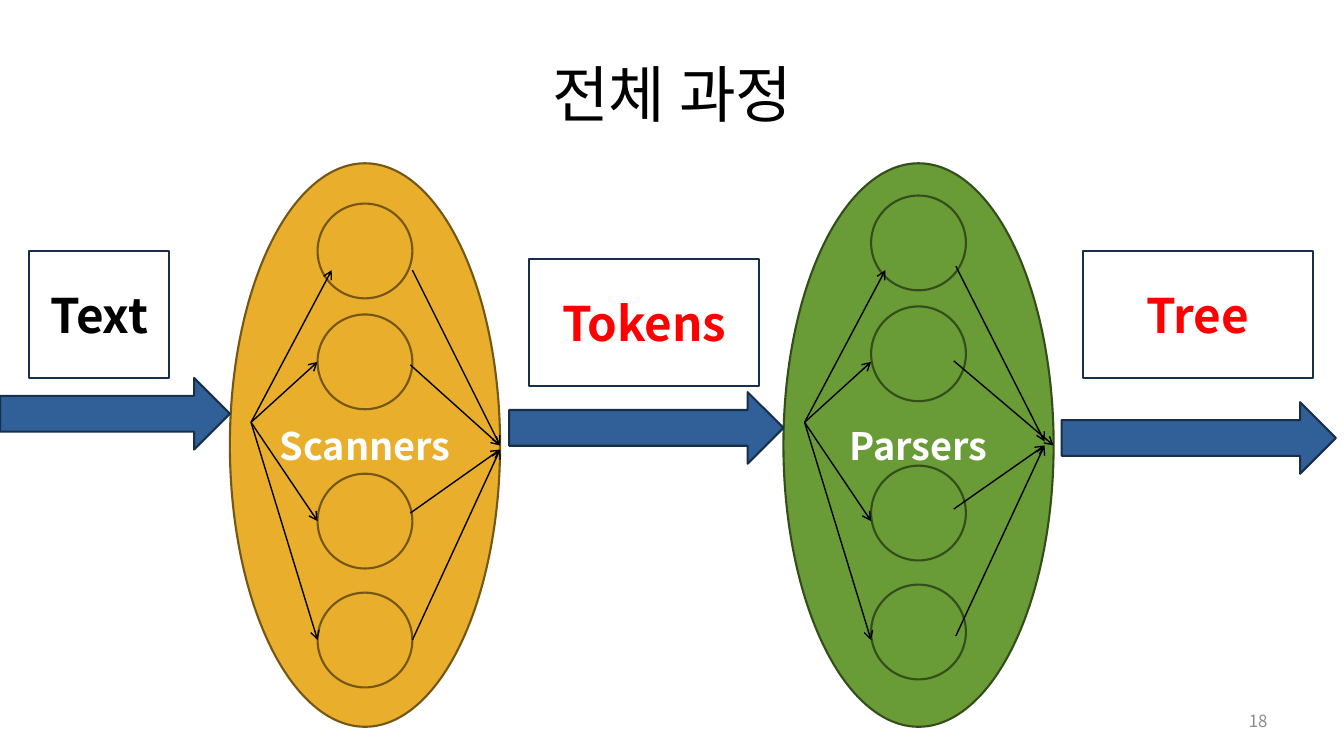
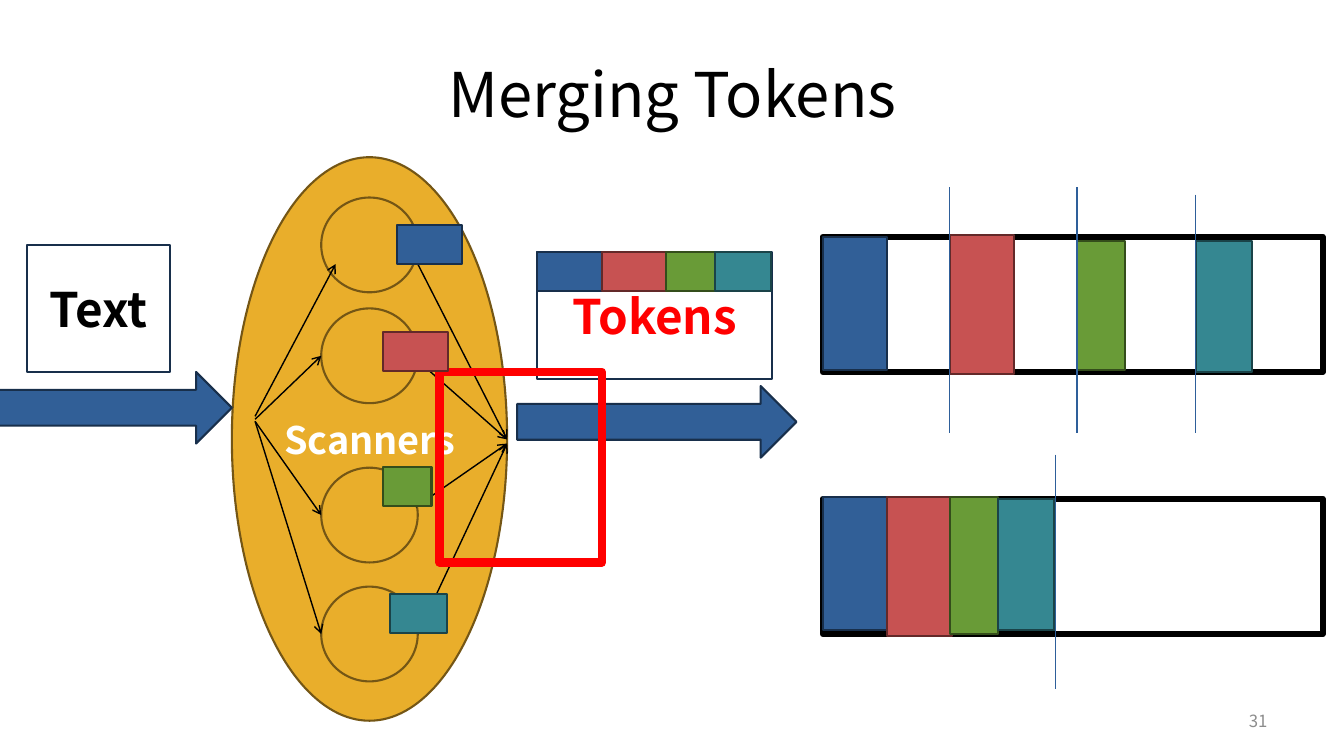
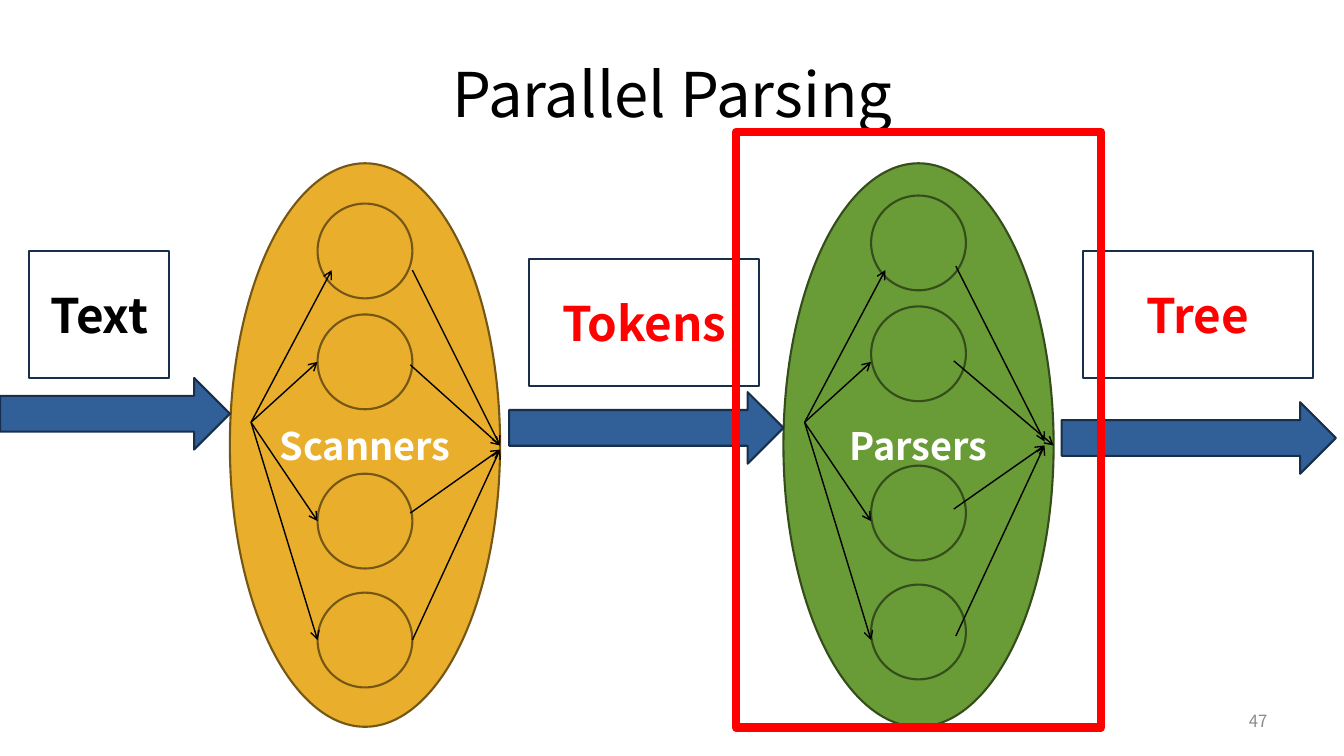
from dataclasses import dataclass
from itertools import accumulate
from typing import NamedTuple

from lxml import etree
from pptx import Presentation
from pptx.dml import color as dml
from pptx.enum import shapes as kinds, text as texts
from pptx.oxml import ns
from pptx.util import Inches, Pt

FONT = "Noto Sans CJK KR"
BLACK, WHITE, RED, GREY, RULE = "000000", "FFFFFF", "FF0000", "8C8C8C", "2E5F9A"
RECT = kinds.MSO_SHAPE.RECTANGLE
OVAL = kinds.MSO_SHAPE.OVAL
ARROW = kinds.MSO_SHAPE.RIGHT_ARROW


class Swatch(NamedTuple):
    fill: str
    line: str


class Area(NamedTuple):
    left: float
    top: float
    width: float
    height: float


class Point(NamedTuple):
    x: float
    y: float


BLUE = Swatch("315F97", "182F4B")
CORAL = Swatch("C75252", "632929")
GREEN = Swatch("699B37", "344D1B")
TEAL = Swatch("358791", "1A4348")
AMBER = Swatch("E9AE2B", "745615")

TOKEN_COLORS = (BLUE, CORAL, GREEN, TEAL)
TOKEN_WIDTHS = (0.64, 0.64, 0.48, 0.56)

# Offsets inside a stage, from the corner of its ellipse
STAGE_WIDTH, STAGE_HEIGHT = 2.68, 5.59
WORKER_LEFT, WORKER_SIZE = 0.87, 0.94
WORKER_TOPS = (0.4, 1.5, 3.08, 4.26)
ENTRY_ENDS = (Point(1.01, 1.06), Point(0.87, 1.97), Point(0.87, 3.55), Point(0.87, 4.73))
EXIT_STARTS = (Point(1.81, 1.06), Point(1.79, 2), Point(1.79, 3.47), Point(1.81, 4.73))
EXIT_ENDS = (Point(2.68, 2.8), Point(2.68, 2.8), Point(2.68, 2.84), Point(2.68, 2.84))


@dataclass(frozen=True)
class Stage:
    """An ellipse of four workers with arrows fanning in and out."""
    label: str
    left: float
    top: float
    swatch: Swatch
    width: float = STAGE_WIDTH
    lift: float = 0
    entry_x: float = 0.21
    entry_ys: tuple[float, ...] = (2.57,) * 4
    exit_shift: float = 0
    exit_ends: tuple[Point, ...] = EXIT_ENDS


@dataclass(frozen=True)
class Label:
    content: str
    area: Area
    color: str = RED


SCANNERS = Stage("Scanners", 2.28, 1.62, AMBER)
PARSERS = Stage(
    "Parsers", 7.77, 1.62, GREEN, lift=0.08, exit_shift=-0.1,
    exit_ends=(Point(2.59, 2.76), Point(2.68, 2.8), Point(2.59, 2.8), Point(2.59, 2.8)))
MERGE_SCANNERS = Stage(
    "Scanners", 2.3, 1.56, AMBER, width=2.73, entry_x=0.23, entry_ys=(2.57, 2.6, 2.62, 2.62))


def rgb(value: str) -> dml.RGBColor:
    return dml.RGBColor.from_string(value)


def write(shape, content: str, *, size: float, color: str, bold: bool = False,
          align=texts.PP_ALIGN.CENTER) -> None:
    frame = shape.text_frame
    frame.word_wrap = True
    frame.auto_size = texts.MSO_AUTO_SIZE.NONE
    frame.vertical_anchor = texts.MSO_ANCHOR.MIDDLE
    para = frame.paragraphs[0]
    para.alignment = align
    span = para.add_run()
    span.text = content
    span.font.name = FONT
    span.font.size = Pt(size)
    span.font.bold = bold
    span.font.color.rgb = rgb(color)
    # Hangul takes the East Asian face
    east = etree.SubElement(span.font._element, ns.qn("a:ea"))
    east.set("typeface", FONT)


def draw_shape(shapes, kind, area: Area, *, line: str, fill: str | None = None,
               weight: float = 1.5, opacity: int = 100):
    shape = shapes.add_shape(kind, *map(Inches, area))
    shape.shadow.inherit = False
    if fill:
        shape.fill.solid()
        shape.fill.fore_color.rgb = rgb(fill)
    else:
        shape.fill.background()
    if opacity < 100:
        tint = shape._element.spPr.find(f"{ns.qn('a:solidFill')}/{ns.qn('a:srgbClr')}")
        etree.SubElement(tint, ns.qn("a:alpha")).set("val", str(opacity * 1000))
    shape.line.color.rgb = rgb(line)
    shape.line.width = Pt(weight)
    return shape


def draw_line(shapes, start: Point, end: Point, *, color: str = BLACK, arrow: bool = True) -> None:
    connector = shapes.add_connector(
        kinds.MSO_CONNECTOR.STRAIGHT, *map(Inches, (*start, *end)))
    connector.line.color.rgb = rgb(color)
    connector.line.width = Pt(1)
    if arrow:
        etree.SubElement(connector.line._get_or_add_ln(), ns.qn("a:tailEnd")).set("type", "arrow")
    etree.SubElement(connector._element.spPr, ns.qn("a:effectLst"))


def draw_swatch(shapes, kind, area: Area, swatch: Swatch):
    return draw_shape(shapes, kind, area, fill=swatch.fill, line=swatch.line)


def draw_label(shapes, label: Label) -> None:
    box = draw_shape(shapes, RECT, label.area, fill=WHITE, line=BLUE.line, opacity=77)
    write(box, label.content, size=34, color=label.color, bold=True)


def draw_stage(shapes, stage: Stage) -> None:
    stretch = stage.width / STAGE_WIDTH

    def place(point: Point, shift: float = 0, lift: float = 0) -> Point:
        return Point(stage.left + (point.x + shift) * stretch, stage.top + point.y - lift)

    body = draw_swatch(
        shapes, OVAL, Area(stage.left, stage.top, stage.width, STAGE_HEIGHT), stage.swatch)
    write(body, stage.label, size=27, color=WHITE, bold=True)
    for top in WORKER_TOPS:
        corner = place(Point(WORKER_LEFT, top), lift=stage.lift)
        draw_swatch(shapes, OVAL, Area(*corner, WORKER_SIZE * stretch, WORKER_SIZE), stage.swatch)
    for entry_y, end in zip(stage.entry_ys, ENTRY_ENDS):
        draw_line(shapes, Point(stage.left + stage.entry_x, stage.top + entry_y), place(end))
    for start, end in zip(EXIT_STARTS, stage.exit_ends):
        # Exits rise by half as much as the workers
        draw_line(shapes, place(start, stage.exit_shift, stage.lift / 2), place(end))


def draw_flow(shapes, stages: list[Stage], arrows: list[Area], labels: list[Label]) -> None:
    for stage in stages:
        draw_stage(shapes, stage)
    for area in arrows:
        draw_swatch(shapes, ARROW, area, BLUE)
    for label in labels:
        draw_label(shapes, label)


def draw_pipeline(shapes) -> None:
    draw_flow(
        shapes, [SCANNERS, PARSERS],
        [Area(0, 3.75, 2.28, 0.71), Area(5.05, 3.89, 2.72, 0.71), Area(10.53, 3.99, 2.72, 0.71)],
        [Label("Text", Area(0.29, 2.49, 1.39, 1.26), BLACK),
         Label("Tokens", Area(5.25, 2.57, 2.28, 1.26)),
         Label("Tree", Area(10.74, 2.49, 2.28, 1.26))])


def draw_highlight(shapes, area: Area) -> None:
    draw_shape(shapes, RECT, area, line=RED, weight=6)


def draw_tokens(shapes, lefts, tops, heights) -> None:
    for left, top, width, height, swatch in zip(lefts, tops, TOKEN_WIDTHS, heights, TOKEN_COLORS):
        draw_swatch(shapes, RECT, Area(left, top, width, height), swatch)


def draw_buffer(shapes, top: float, lefts, tops, heights, rules: list[tuple[Point, float]]) -> None:
    """A framed memory strip with its tokens and dividing rules."""
    group = shapes.add_group_shape().shapes
    draw_shape(group, RECT, Area(8.16, top, 4.96, 1.34), line=BLACK, weight=4.5)
    draw_tokens(group, lefts, tops, heights)
    for start, bottom in rules:
        draw_line(group, start, Point(start.x, bottom), color=RULE, arrow=False)


def start_slide(deck, title: str, number: int):
    page = deck.slides.add_slide(deck.slide_layouts[5])
    heading = page.shapes.title
    heading.left, heading.top, heading.width, heading.height = map(Inches, (0.67, 0.3, 12, 1.25))
    write(heading, title, size=44, color=BLACK)
    footer = page.shapes.add_textbox(*map(Inches, (9.56, 6.95, 3.11, 0.4)))
    write(footer, str(number), size=12, color=GREY, align=texts.PP_ALIGN.RIGHT)
    return page.shapes


def build_overview(deck) -> None:
    draw_pipeline(start_slide(deck, "전체 과정", 18))


def build_merging(deck) -> None:
    shapes = start_slide(deck, "Merging Tokens", 31)
    draw_flow(
        shapes, [MERGE_SCANNERS],
        [Area(-0.03, 3.69, 2.33, 0.71), Area(5.13, 3.83, 2.77, 0.71)],
        [Label("Text", Area(0.27, 2.43, 1.42, 1.26), BLACK),
         Label("Tokens", Area(5.33, 2.5, 2.33, 1.26))])
    draw_highlight(shapes, Area(4.36, 3.69, 1.61, 1.89))

    # Tokens joined in the label, then one beside each scanner
    chip_heights = (0.39,) * 4
    draw_tokens(shapes, accumulate(TOKEN_WIDTHS, initial=5.33), (2.5,) * 4, chip_heights)
    draw_tokens(shapes, (3.94, 3.8, 3.8, 3.87), (2.23, 3.29, 4.63, 5.89), chip_heights)

    # Buffer split into sections, then packed
    sections = (8.16, 9.42, 10.68, 11.86)
    draw_buffer(shapes, 2.35, sections, (2.35, 2.33, 2.39, 2.39), (1.32, 1.38, 1.28, 1.3),
                [(Point(x, y), 4.3) for x, y in zip(sections[1:], (1.86, 1.86, 1.93))])
    draw_buffer(shapes, 4.95, (8.16, 8.8, 9.42, 9.9), (4.93, 4.93, 4.93, 4.95),
                (1.32, 1.38, 1.36, 1.3), [(Point(10.47, 4.51), 6.84)])


def build_parsing(deck) -> None:
    shapes = start_slide(deck, "Parallel Parsing", 47)
    draw_pipeline(shapes)
    draw_highlight(shapes, Area(7.3, 1.31, 3.62, 5.91))


def main() -> None:
    deck = Presentation()
    deck.slide_width, deck.slide_height = Inches(13.33), Inches(7.5)
    build_overview(deck)
    build_merging(deck)
    build_parsing(deck)
    deck.save("out.pptx")


if __name__ == "__main__":
    main()
